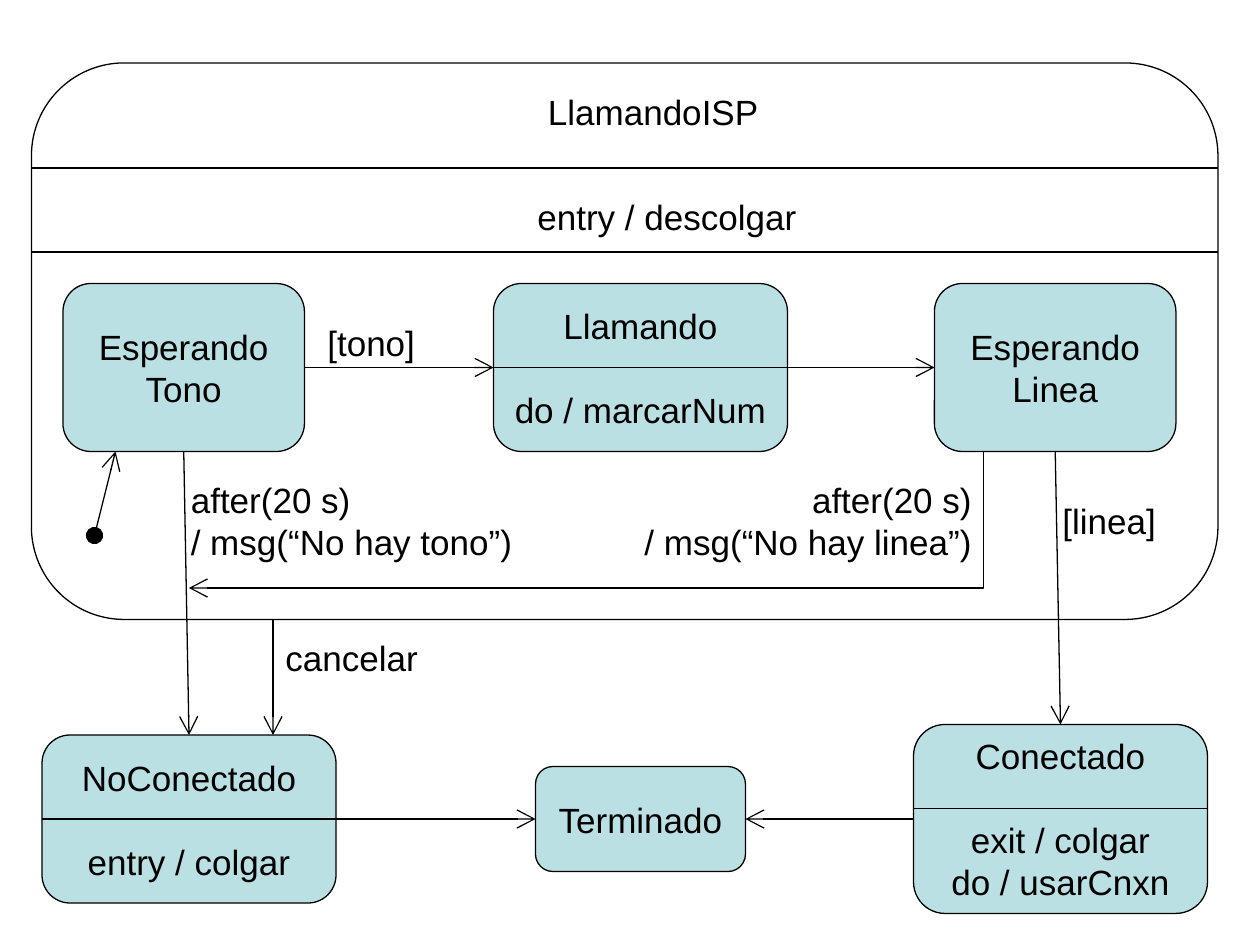
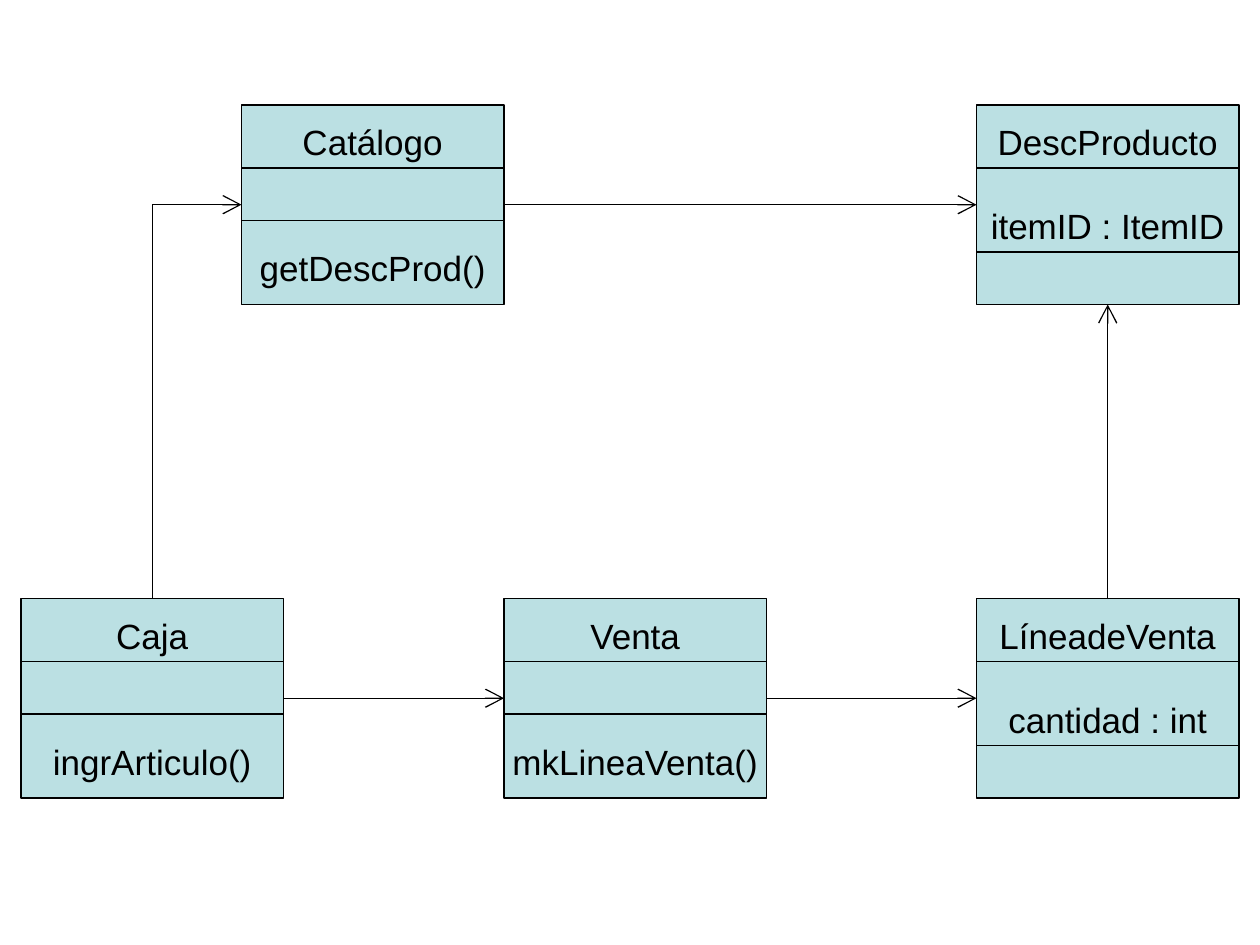
from dataclasses import dataclass

from lxml import etree
from pptx import Presentation
from pptx.dml.color import RGBColor
from pptx.enum.shapes import MSO_CONNECTOR, MSO_SHAPE
from pptx.enum.text import MSO_ANCHOR, PP_ALIGN
from pptx.oxml.ns import qn
from pptx.util import Emu, Pt

PX = 9525
BLACK = RGBColor(0x00, 0x00, 0x00)
TEAL = RGBColor(0xBB, 0xE0, 0xE3)
FONT = "Arial"
FONT_SIZE = Pt(20)
LINE_WIDTH = Pt(0.75)
LINE_PX = 32
INSET_PX = 5

ROUND = MSO_SHAPE.ROUNDED_RECTANGLE
RECT = MSO_SHAPE.RECTANGLE
STRAIGHT = MSO_CONNECTOR.STRAIGHT
ELBOW = MSO_CONNECTOR.ELBOW
LEFT, CENTER, RIGHT = PP_ALIGN.LEFT, PP_ALIGN.CENTER, PP_ALIGN.RIGHT
MIDDLE, TOP = MSO_ANCHOR.MIDDLE, MSO_ANCHOR.TOP


@dataclass(frozen=True)
class Row:
    text: str
    gap: int = 0


@dataclass(frozen=True)
class Box:
    x: int
    y: int
    w: int
    h: int
    rows: tuple[Row, ...] = ()
    dividers: tuple[int, ...] = ()
    shape: MSO_SHAPE = ROUND
    fill: RGBColor | None = TEAL
    lines_below: int = 0


@dataclass(frozen=True)
class Label:
    x: int
    y: int
    w: int
    lines: tuple[str, ...]
    align: PP_ALIGN = LEFT


@dataclass(frozen=True)
class Link:
    x1: int
    y1: int
    x2: int
    y2: int
    head: str | None = None
    tail: str | None = "arrow"
    kind: MSO_CONNECTOR = STRAIGHT


def px(n: int) -> Emu:
    return Emu(n * PX)


def write_text(tf, rows: tuple[Row, ...], *, align=CENTER, anchor=MIDDLE) -> None:
    tf.word_wrap = False
    tf.vertical_anchor = anchor
    for i, row in enumerate(rows):
        p = tf.add_paragraph() if i else tf.paragraphs[0]
        p.alignment = align
        p.line_spacing = px(LINE_PX)
        if row.gap:
            p.space_before = px(row.gap * LINE_PX)
        r = p.add_run()
        r.text = row.text
        r.font.name = FONT
        r.font.size = FONT_SIZE
        r.font.color.rgb = BLACK


def style_line(line) -> None:
    line.color.rgb = BLACK
    line.width = LINE_WIDTH


def draw_link(s, link: Link):
    sp = s.shapes.add_connector(
        link.kind, px(link.x1), px(link.y1), px(link.x2), px(link.y2))
    style_line(sp.line)
    sp_pr = sp._element.spPr
    ln = sp_pr.find(qn("a:ln"))
    for tag, end in (("a:headEnd", link.head), ("a:tailEnd", link.tail)):
        if end:
            etree.SubElement(ln, qn(tag), type=end, w="lg", len="lg")
    etree.SubElement(sp_pr, qn("a:effectLst"))
    return sp


def draw_elbow(s, link: Link, *, adjust: int) -> None:
    geom = draw_link(s, link)._element.spPr.find(qn("a:prstGeom"))
    guides = geom.find(qn("a:avLst"))
    etree.SubElement(guides, qn("a:gd"), name="adj1", fmla=f"val {adjust}")


def draw_corner_up(s, link: Link) -> None:
    rise, run = link.y1 - link.y2, link.x2 - link.x1
    x = (link.x1 + link.x2 - rise) // 2
    y = (link.y1 + link.y2 - run) // 2
    flat = Link(x + rise, y + run, x, y, kind=ELBOW)
    sp_pr = draw_link(s, flat)._element.spPr
    sp_pr.find(qn("a:xfrm")).set("rot", "5400000")
    sp_pr.find(qn("a:prstGeom")).set("prst", "bentConnector2")


def draw_box(s, box: Box) -> None:
    sp = s.shapes.add_shape(box.shape, px(box.x), px(box.y), px(box.w), px(box.h))
    sp.shadow.inherit = False
    if box.fill is None:
        sp.fill.background()
    else:
        sp.fill.solid()
        sp.fill.fore_color.rgb = box.fill
    style_line(sp.line)
    if box.rows:
        write_text(sp.text_frame, box.rows)
    if box.lines_below:
        sp.text_frame.margin_bottom = px(INSET_PX + box.lines_below * LINE_PX)
    for dy in box.dividers:
        y = box.y + dy
        draw_link(s, Link(box.x, y, box.x + box.w, y, tail=None))


def draw_label(s, label: Label) -> None:
    h = len(label.lines) * LINE_PX + 2 * INSET_PX
    sp = s.shapes.add_textbox(px(label.x), px(label.y), px(label.w), px(h))
    rows = tuple(Row(text) for text in label.lines)
    write_text(sp.text_frame, rows, align=label.align, anchor=TOP)


def class_box(x: int, y: int, name: str, *, attribute="", method="") -> Box:
    if method:
        rows, dividers, below = (Row(name), Row(method, 2)), (48, 88), 0
    else:
        rows, dividers, below = (Row(name), Row(attribute, 1)), (48, 112), 1
    return Box(x, y, 200, 152, rows, dividers, shape=RECT, lines_below=below)


def build_state_diagram(s) -> None:
    boxes = (
        Box(24, 48, 904, 424, dividers=(80, 144), fill=None),
        Box(48, 216, 184, 128, (Row("Esperando"), Row("Tono"))),
        Box(712, 216, 184, 128, (Row("Esperando"), Row("Linea"))),
        Box(376, 216, 224, 128, (Row("Llamando"), Row("do / marcarNum", 1)), (64,)),
        Box(32, 560, 224, 128, (Row("NoConectado"), Row("entry / colgar", 1)), (64,)),
        Box(696, 552, 224, 144,
            (Row("Conectado"), Row("exit / colgar", 1), Row("do / usarCnxn")), (64,)),
        Box(408, 584, 160, 80, (Row("Terminado"),)),
    )
    links = (
        Link(232, 280, 376, 280),
        Link(600, 280, 712, 280),
        Link(804, 344, 808, 552),
        Link(72, 408, 88, 344, head="oval"),
        Link(140, 344, 144, 560),
        Link(208, 472, 208, 560),
        Link(256, 624, 408, 624),
        Link(696, 624, 568, 624),
    )
    labels = (
        Label(408, 64, 190, ("LlamandoISP",)),
        Label(400, 144, 228, ("entry / descolgar",)),
        Label(240, 240, 96, ("[tono]",)),
        Label(136, 360, 275, ("after(20 s)", "/ msg(“No hay tono”)")),
        Label(470, 360, 280, ("after(20 s)", "/ msg(“No hay linea”)"), RIGHT),
        Label(800, 376, 102, ("[linea]",)),
        Label(208, 480, 130, ("cancelar",)),
    )
    for box in boxes:
        draw_box(s, box)
    for link in links:
        draw_link(s, link)
    draw_elbow(s, Link(748, 344, 144, 448, kind=ELBOW), adjust=-200)
    for label in labels:
        draw_label(s, label)


def build_class_diagram(s) -> None:
    upper, lower = 80, 456
    boxes = (
        class_box(184, upper, "Catálogo", method="getDescProd()"),
        class_box(744, upper, "DescProducto", attribute="itemID : ItemID"),
        class_box(16, lower, "Caja", method="ingrArticulo()"),
        class_box(384, lower, "Venta", method="mkLineaVenta()"),
        class_box(744, lower, "LíneadeVenta", attribute="cantidad : int"),
    )
    catalog, product, register, sale, sale_line = boxes
    for box in boxes:
        draw_box(s, box)
    for a, b in ((catalog, product), (register, sale), (sale, sale_line)):
        y = a.y + a.h // 2
        draw_link(s, Link(a.x + a.w, y, b.x, y))
    center = product.x + product.w // 2
    draw_link(s, Link(center, sale_line.y, center, product.y + product.h))
    draw_corner_up(s, Link(register.x + register.w // 2, register.y,
                           catalog.x, catalog.y + catalog.h // 2))


def main() -> None:
    prs = Presentation()
    prs.slide_width = px(960)
    prs.slide_height = px(720)
    for build in (build_state_diagram, build_class_diagram):
        build(prs.slides.add_slide(prs.slide_layouts[6]))
    prs.save("out.pptx")


if __name__ == "__main__":
    main()
